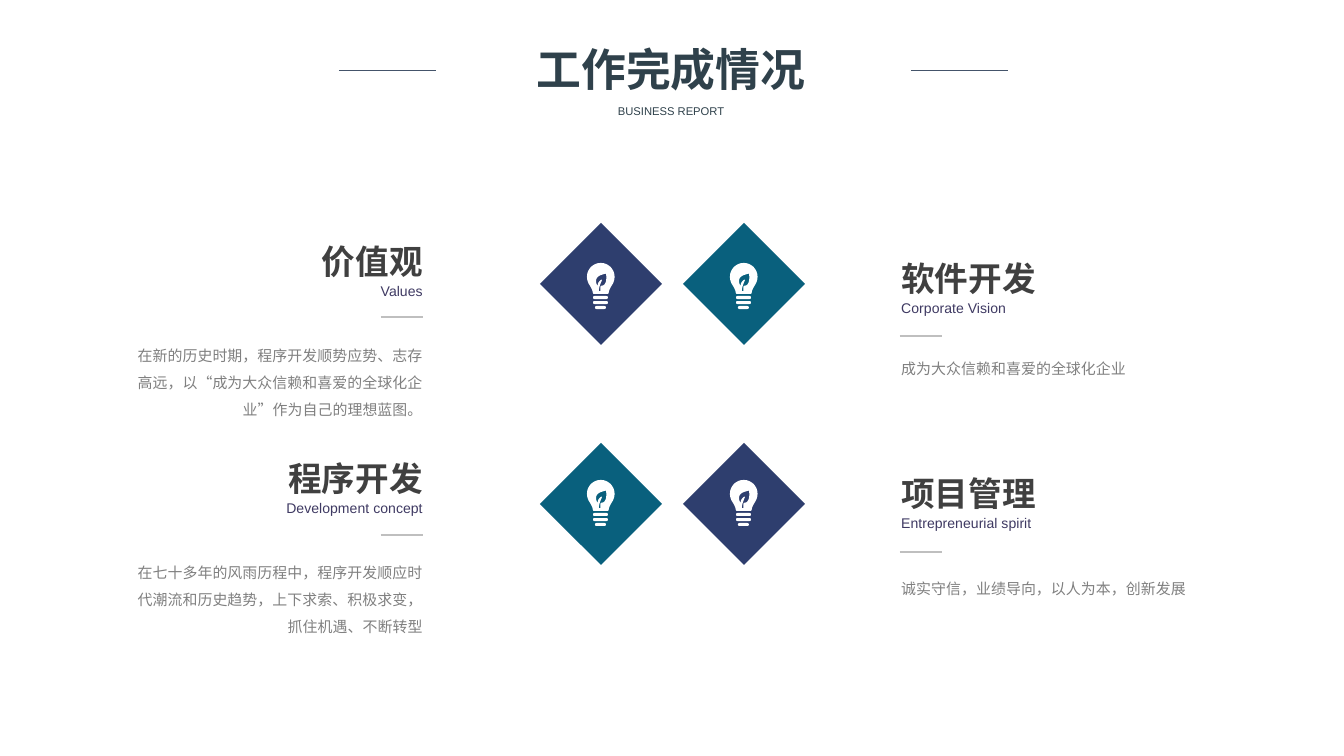
from dataclasses import dataclass

from lxml.etree import SubElement
from pptx import Presentation
from pptx.dml.color import RGBColor
from pptx.enum.shapes import MSO_CONNECTOR, MSO_SHAPE
from pptx.enum.text import MSO_ANCHOR, MSO_AUTO_SIZE, PP_ALIGN
from pptx.oxml.ns import qn
from pptx.util import Emu, Pt

PX = 914400 / 134.4
COLORS = {
    "navy": "2E3E6E", "teal": "09607D", "white": "FFFFFF",
    "title": "2F414B", "subtitle": "2F414B",
    "heading": "404040", "english": "3E3962", "body": "808080",
    "rule": "BFBFBF", "title_rule": "44546A",
}
STYLES = {
    "title": {"size": Pt(24), "bold": True},
    "subtitle": {"size": Pt(6), "bold": False},
    "heading": {"size": Pt(18), "bold": True},
    "english": {"size": Pt(7.5), "bold": False},
    "body": {"size": Pt(8), "bold": False},
}
LEFT, RIGHT, CENTER = PP_ALIGN.LEFT, PP_ALIGN.RIGHT, PP_ALIGN.CENTER

# Icon outlines in tenths of a pixel: a start point, then Bezier segments
BULB = [(138, 0),
        [(214, 0), (276, 62), (276, 138)], [(276, 175), (264, 200), (250, 222)],
        [(238, 245), (222, 265), (218, 295)], [(217, 305), (212, 310), (204, 310)],
        [(160, 310), (116, 310), (72, 310)], [(64, 310), (59, 305), (58, 295)],
        [(54, 265), (38, 245), (26, 222)], [(12, 200), (0, 175), (0, 138)],
        [(0, 62), (62, 0), (138, 0)]]
LEAF = [(118, 282),
        [(122, 225), (145, 190), (150, 172)], [(148, 166), (146, 166), (142, 168)],
        [(128, 178), (107, 195), (107, 230)], [(94, 212), (86, 185), (94, 161)],
        [(107, 130), (140, 118), (190, 107)], [(194, 130), (198, 190), (175, 215)],
        [(166, 226), (156, 226), (147, 228)], [(138, 229), (135, 234), (135, 242)],
        [(134, 255), (134, 270), (134, 282)]]
BARS = [(6, 33, 15, 3), (6, 38, 15, 3), (8, 43, 11, 3)]


@dataclass
class Topic:
    """One text group; rule_dy and body_dy are measured from its top."""
    heading: str
    english: str
    body: str
    top: int
    align: PP_ALIGN
    heading_w: int
    english_w: int
    rule_dy: int
    body_dy: int
    body_w: int
    body_h: int


TOPICS = [
    Topic("价值观", "Values",
          "在新的历史时期，程序开发顺势应势、志存高远，以“成为大众信赖和喜爱的全球化企业”作为自己的理想蓝图。",
          234, RIGHT, 129, 70, 83, 97, 316, 95),
    Topic("程序开发", "Development concept",
          "在七十多年的风雨历程中，程序开发顺应时代潮流和历史趋势，上下求索、积极求变，抓住机遇、不断转型",
          451, RIGHT, 163, 163, 84, 97, 316, 95),
    Topic("软件开发", "Corporate Vision", "成为大众信赖和喜爱的全球化企业",
          251, LEFT, 163, 132, 85, 93, 348, 40),
    Topic("项目管理", "Entrepreneurial spirit", "诚实守信，业绩导向，以人为本，创新发展",
          466, LEFT, 163, 157, 86, 98, 316, 40),
]


def px(*values: float) -> list[Emu]:
    """Turn pixels into EMU."""
    return [Emu(round(v * PX)) for v in values]


def color(name: str) -> RGBColor:
    """Look up a palette colour."""
    return RGBColor.from_string(COLORS[name])


def write(tf, text: str, style: str, align: PP_ALIGN, wrap: bool = True) -> None:
    """Fill a text frame with one styled paragraph."""
    for name, value in {"word_wrap": wrap, "vertical_anchor": MSO_ANCHOR.TOP,
                        "auto_size": MSO_AUTO_SIZE.SHAPE_TO_FIT_TEXT}.items():
        setattr(tf, name, value)
    p = tf.paragraphs[0]
    p.alignment = align
    if style == "body":
        p.line_spacing = 1.5
    r = p.add_run()
    r.text = text
    for name, value in {"name": "Arial", **STYLES[style]}.items():
        setattr(r.font, name, value)
    r.font.color.rgb = color(style)


def add_text(shapes, box: tuple, *args, **kwargs) -> None:
    """Add a text box."""
    write(shapes.add_textbox(*px(*box)).text_frame, *args, **kwargs)


def add_rule(shapes, x: int, y: int, w: int, name: str, weight: float) -> None:
    """Add a horizontal line without a shadow."""
    line = shapes.add_connector(MSO_CONNECTOR.STRAIGHT, *px(x, y, x + w, y))
    line.line.color.rgb = color(name)
    line.line.width = Pt(weight)
    SubElement(line._element.spPr, qn("a:effectLst"))


def paint(sp, name: str) -> None:
    """Give a shape a flat fill, no outline and no shadow."""
    sp.shadow.inherit = False
    sp.fill.solid()
    sp.fill.fore_color.rgb = color(name)
    sp.line.fill.background()


def add_preset(shapes, kind: MSO_SHAPE, box: tuple, name: str):
    """Add a flat preset shape."""
    sp = shapes.add_shape(kind, *px(*box))
    paint(sp, name)
    return sp


def trace(outline: list, steps: int = 8) -> list[tuple[float, float]]:
    """Sample the Bezier segments of an outline."""
    points = [outline[0]]
    for b, c, d in outline[1:]:
        a = points[-1]
        for i in range(1, steps + 1):
            t = i / steps
            u = 1 - t
            points.append(tuple(
                u**3 * a[k] + 3 * u * u * t * b[k] + 3 * u * t * t * c[k] + t**3 * d[k]
                for k in (0, 1)))
    return points


def add_icon(shapes, x: int, y: int) -> None:
    """Add a light bulb with a leaf cut out of it."""
    bulb, leaf = trace(BULB), trace(LEAF)
    builder = shapes.build_freeform(*bulb[0], scale=PX / 10)
    builder.add_line_segments(bulb[1:], close=True)
    builder.move_to(*leaf[0])
    builder.add_line_segments(leaf[1:], close=True)
    paint(builder.convert_to_shape(*px(x, y)), "white")
    for dx, dy, w, h in BARS:
        bar = add_preset(shapes, MSO_SHAPE.ROUNDED_RECTANGLE,
                         (x + dx, y + dy, w, h), "white")
        bar.adjustments[0] = 0.5


def add_topic(shapes, topic: Topic) -> None:
    """Add a heading, its English line, a short rule and the body."""
    def box(dy: int, w: int, h: int) -> tuple:
        x = 436 - w if topic.align == RIGHT else 888
        return x, topic.top + dy, w, h

    add_text(shapes, box(0, topic.heading_w, 54), topic.heading, "heading",
             topic.align, wrap=False)
    add_text(shapes, box(42, topic.english_w, 31), topic.english, "english",
             topic.align, wrap=False)
    add_rule(shapes, 381 if topic.align == RIGHT else 900,
             topic.top + topic.rule_dy, 42, "rule", 1)
    add_text(shapes, box(topic.body_dy, topic.body_w, topic.body_h), topic.body,
             "body", topic.align)


def main() -> None:
    """Build the slide."""
    prs = Presentation()
    prs.slide_width, prs.slide_height = px(1344, 756)
    s = prs.slides.add_slide(prs.slide_layouts[5])
    shapes = s.shapes
    title = shapes.title
    title.left, title.top, title.width, title.height = px(464, 35, 414, 67)
    write(title.text_frame, "工作完成情况", "title", CENTER)
    add_text(shapes, (591, 98, 160, 27), "BUSINESS REPORT", "subtitle", CENTER)
    for x in (339, 911):
        add_rule(shapes, x, 71, 97, "title_rule", 0.5)

    for row, (y, icon_y) in enumerate([(223, 263), (443, 480)]):
        for col, x in enumerate((540, 683)):
            fill = ("navy", "teal")[(row + col) % 2]
            add_preset(shapes, MSO_SHAPE.DIAMOND, (x, y, 122, 122), fill)
            add_icon(shapes, x + 47, icon_y)
    for topic in TOPICS:
        add_topic(shapes, topic)
    prs.save("out.pptx")


main()
